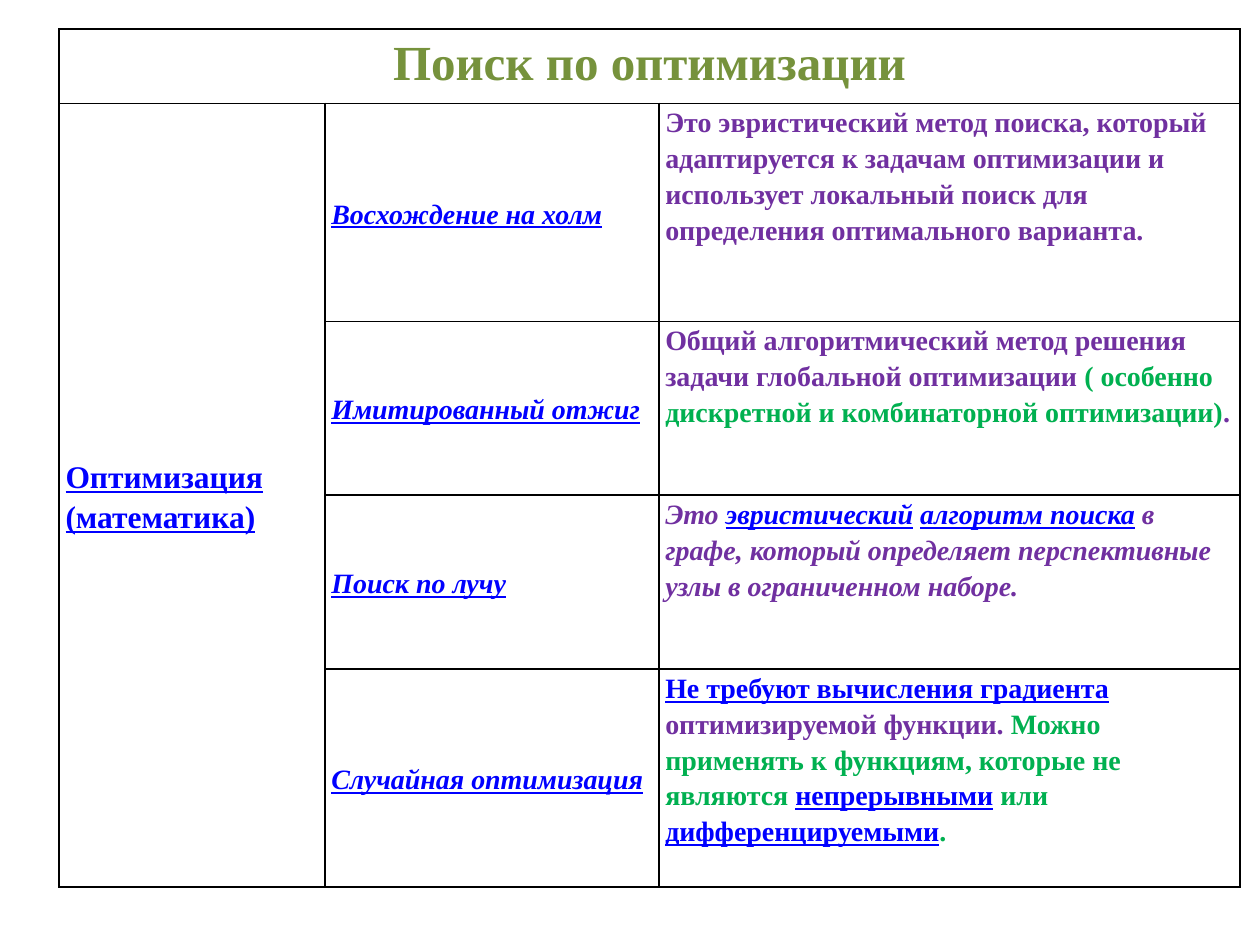
from dataclasses import dataclass

from lxml import etree
from pptx import Presentation
from pptx.dml.color import RGBColor
from pptx.enum.text import MSO_ANCHOR, PP_ALIGN
from pptx.oxml.ns import qn
from pptx.util import Inches, Pt

TOP, MIDDLE = MSO_ANCHOR.TOP, MSO_ANCHOR.MIDDLE
LEFT, CENTER = PP_ALIGN.LEFT, PP_ALIGN.CENTER


@dataclass(frozen=True)
class Theme:
    face: str = "Times New Roman"
    title: str = "76923C"
    link: str = "0000FF"
    body: str = "7030A0"
    note: str = "00B050"
    edge: str = "000000"
    head: int = 28
    topic: int = 18
    text: int = 16
    rule: int = 1
    lead: float = 1.15
    gap: int = 10


THEME = Theme()
LINK, BODY, NOTE = THEME.link, THEME.body, THEME.note
WIDTH, HEIGHT = 10, 7.5
COLS = (2.11, 2.65, 4.61)
TALL, SHORT = 1.73, 1.38
ROWS = (0.59, TALL, SHORT, SHORT, TALL)
METHODS = (
    ("Восхождение на холм", False, (
        ("Это эвристический метод поиска, который адаптируется к задачам "
         "оптимизации и использует локальный поиск для определения "
         "оптимального варианта.", BODY),
    )),
    ("Имитированный отжиг", False, (
        ("Общий алгоритмический метод решения задачи глобальной "
         "оптимизации ", BODY),
        ("( особенно дискретной и комбинаторной оптимизации)", NOTE),
        (".", BODY),
    )),
    ("Поиск по лучу", True, (
        ("Это ", BODY),
        ("эвристический", LINK),
        (" ", BODY),
        ("алгоритм поиска", LINK),
        (" в графе, который определяет перспективные узлы в "
         "ограниченном наборе.", BODY),
    )),
    ("Случайная оптимизация", False, (
        ("Не требуют вычисления градиента", LINK),
        (" оптимизируемой функции. ", BODY),
        ("Можно применять к функциям, которые не являются ", NOTE),
        ("непрерывными", LINK),
        (" или ", NOTE),
        ("дифференцируемыми", LINK),
        (".", NOTE),
    )),
)


def frame(cell):
    props = cell._tc.get_or_add_tcPr()
    for side in ("lnL", "lnR", "lnT", "lnB"):
        line = etree.SubElement(props, qn("a:" + side), w=str(Pt(THEME.rule)))
        fill = etree.SubElement(line, qn("a:solidFill"))
        etree.SubElement(fill, qn("a:srgbClr"), val=THEME.edge)
    cell.fill.background()
    cell.margin_left = cell.margin_right = Inches(0.05)
    cell.margin_top = cell.margin_bottom = 0


def write(cell, parts, size=THEME.text, slant=False, anchor=TOP,
          align=LEFT, gap=THEME.gap):
    cell.vertical_anchor = anchor
    para = cell.text_frame.paragraphs[0]
    para.alignment = align
    para.line_spacing = THEME.lead
    para.space_after = Pt(gap)
    font = para.font
    font.name, font.size = THEME.face, Pt(size)
    font.bold, font.italic = True, slant
    for text, color in parts:
        run = para.add_run()
        run.text = text
        run.font.color.rgb = RGBColor.from_string(color)
        run.font.underline = color == LINK


def add_grid(slide):
    shape = slide.shapes.add_table(
        len(ROWS), len(COLS), Inches(0.47), Inches(0.23),
        Inches(sum(COLS)), Inches(sum(ROWS)))
    table = shape.table
    table.first_row = table.horz_banding = False
    for col, width in zip(table.columns, COLS):
        col.width = Inches(width)
    for row, height in zip(table.rows, ROWS):
        row.height = Inches(height)
    for cell in table.iter_cells():
        frame(cell)
    table.cell(0, 0).merge(table.cell(0, len(COLS) - 1))
    table.cell(1, 0).merge(table.cell(len(ROWS) - 1, 0))
    return table


def main():
    deck = Presentation()
    deck.slide_width, deck.slide_height = Inches(WIDTH), Inches(HEIGHT)
    slide = deck.slides.add_slide(deck.slide_layouts[6])
    table = add_grid(slide)
    write(table.cell(0, 0), [("Поиск по оптимизации", THEME.title)],
          THEME.head, align=CENTER, gap=0)
    write(table.cell(1, 0), [("Оптимизация (математика)", LINK)],
          THEME.topic, anchor=MIDDLE)
    for row, (name, slant, parts) in enumerate(METHODS, 1):
        write(table.cell(row, 1), [(name, LINK)], slant=True, anchor=MIDDLE)
        write(table.cell(row, 2), parts, slant=slant)
    deck.save("out.pptx")


if __name__ == "__main__":
    main()
